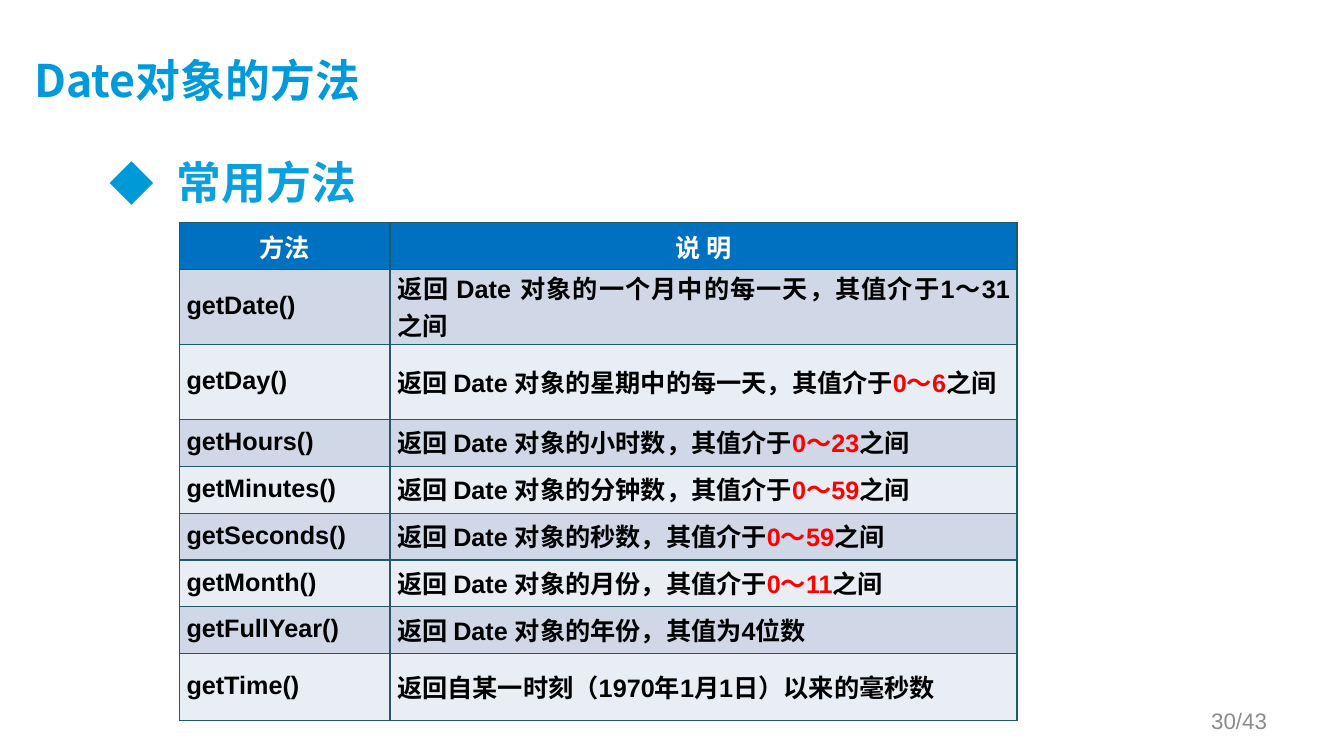
from lxml import etree
from pptx import Presentation
from pptx import util as u
from pptx.dml.color import RGBColor
from pptx.enum import text
from pptx.oxml.ns import qn

CJK = "Noto Sans CJK SC"
MIDDLE = text.MSO_ANCHOR.MIDDLE
METHODS = [  # method, then description pieces; every second piece is highlighted
    ("getDate()", "返回 Date 对象的一个月中的每一天，其值介于1～31之间"),
    ("getDay()", "返回 Date 对象的星期中的每一天，其值介于", "0～6", "之间"),
    ("getHours()", "返回 Date 对象的小时数，其值介于", "0～23", "之间"),
    ("getMinutes()", "返回 Date 对象的分钟数，其值介于", "0～59", "之间"),
    ("getSeconds()", "返回 Date 对象的秒数，其值介于", "0～59", "之间"),
    ("getMonth()", "返回 Date 对象的月份，其值介于", "0～11", "之间"),
    ("getFullYear()", "返回 Date 对象的年份，其值为4位数"),
    ("getTime()", "返回自某一时刻（1970年1月1日）以来的毫秒数"),
]
ROW_HEIGHTS = [1.18, 1.89, 1.89] + [1.18] * 5 + [1.69]
COLUMN_WIDTHS = [5.31, 15.8]


def color(hex_value):
    return RGBColor.from_string(hex_value)


def add_run(paragraph, words, size=18, font="Arial", fill="000000", bold=True):
    run = paragraph.add_run()
    run.text = words
    run.font.size = u.Pt(size)
    run.font.bold = bold
    run.font.color.rgb = color(fill)
    run.font.name = font
    etree.SubElement(run.font._element, qn("a:ea"), typeface=CJK)


def set_insets(target, left, top, right, bottom):
    target.margin_left, target.margin_top = u.Cm(left), u.Cm(top)
    target.margin_right, target.margin_bottom = u.Cm(right), u.Cm(bottom)


def add_text(slide, box, words, anchor=text.MSO_ANCHOR.TOP, insets=(0.25, 0.13, 0.25, 0.13),
             align=text.PP_ALIGN.LEFT, bullet=None, **run_format):
    frame = slide.shapes.add_textbox(*map(u.Cm, box)).text_frame
    frame.word_wrap = True
    frame.vertical_anchor = anchor
    set_insets(frame, *insets)
    paragraph = frame.paragraphs[0]
    paragraph.alignment = align
    if bullet:
        add_bullet(paragraph, *bullet)
    add_run(paragraph, words, **run_format)


def add_bullet(paragraph, mark, fill, indent):
    properties = paragraph._p.get_or_add_pPr()
    properties.set("marL", str(u.Cm(indent)))
    properties.set("indent", str(-u.Cm(indent)))
    bullet_color = etree.SubElement(properties, qn("a:buClr"))
    etree.SubElement(bullet_color, qn("a:srgbClr"), val=fill)
    etree.SubElement(properties, qn("a:buFont"), typeface=CJK)
    etree.SubElement(properties, qn("a:buChar"), char=mark)


def add_borders(cell, fill="215968", width=1):
    properties = cell._tc.get_or_add_tcPr()
    for position, side in enumerate(("lnL", "lnR", "lnT", "lnB")):
        line = etree.Element(qn(f"a:{side}"), w=str(u.Pt(width)))
        solid = etree.SubElement(line, qn("a:solidFill"))
        etree.SubElement(solid, qn("a:srgbClr"), val=fill)
        properties.insert(position, line)


def fill_cell(cell, pieces, background, align, colors):
    cell.fill.solid()
    cell.fill.fore_color.rgb = color(background)
    add_borders(cell)
    paragraph = cell.text_frame.paragraphs[0]
    paragraph.alignment = align
    for index, piece in enumerate(pieces):
        add_run(paragraph, piece, fill=colors[index % 2])


def add_method_table(slide, left, top):
    frame = slide.shapes.add_table(len(ROW_HEIGHTS), len(COLUMN_WIDTHS), u.Cm(left), u.Cm(top),
                                   u.Cm(sum(COLUMN_WIDTHS)), u.Cm(sum(ROW_HEIGHTS)))
    table = frame.table
    for column, width in zip(table.columns, COLUMN_WIDTHS):
        column.width = u.Cm(width)
    for row, height in zip(table.rows, ROW_HEIGHTS):
        row.height = u.Cm(height)

    for column, heading in enumerate(("方法", "说 明")):
        cell = table.cell(0, column)
        set_insets(cell, 0.25, 0.13, 0.25, 0.13)
        fill_cell(cell, [heading], "0070C0", text.PP_ALIGN.CENTER, ("FFFFFF", "FFFFFF"))

    for row, (method, *description) in enumerate(METHODS, start=1):
        background = "D0D8E8" if row % 2 else "E9EDF4"
        for column, pieces in enumerate(([method], description)):
            cell = table.cell(row, column)
            cell.vertical_anchor = MIDDLE
            set_insets(cell, 0.18, 0, 0.18, 0.05)
            fill_cell(cell, pieces, background, text.PP_ALIGN.JUSTIFY, ("000000", "FF0000"))


def build_methods_slide(presentation):
    slide = presentation.slides.add_slide(presentation.slide_layouts[6])
    add_text(slide, (0.86, 0.76, 30.5, 2.62), "Date对象的方法", anchor=MIDDLE,
             insets=(0, 0, 0.25, 0.13), size=32, font=CJK, fill="009ADA")
    add_text(slide, (2.51, 3.76, 28.75, 12.57), "常用方法", bullet=("◆", "0099D8", 1.7),
             size=32, font=CJK, fill="0B9FDD")
    add_method_table(slide, 4.52, 5.61)
    add_text(slide, (24.28, 17.65, 7.9, 1.02), "30/43", anchor=MIDDLE,
             align=text.PP_ALIGN.RIGHT, size=16, fill="8C8C8C", bold=False)


def main():
    presentation = Presentation()
    presentation.slide_width, presentation.slide_height = u.Cm(33.87), u.Cm(19.05)
    build_methods_slide(presentation)
    presentation.save("out.pptx")


if __name__ == "__main__":
    main()
